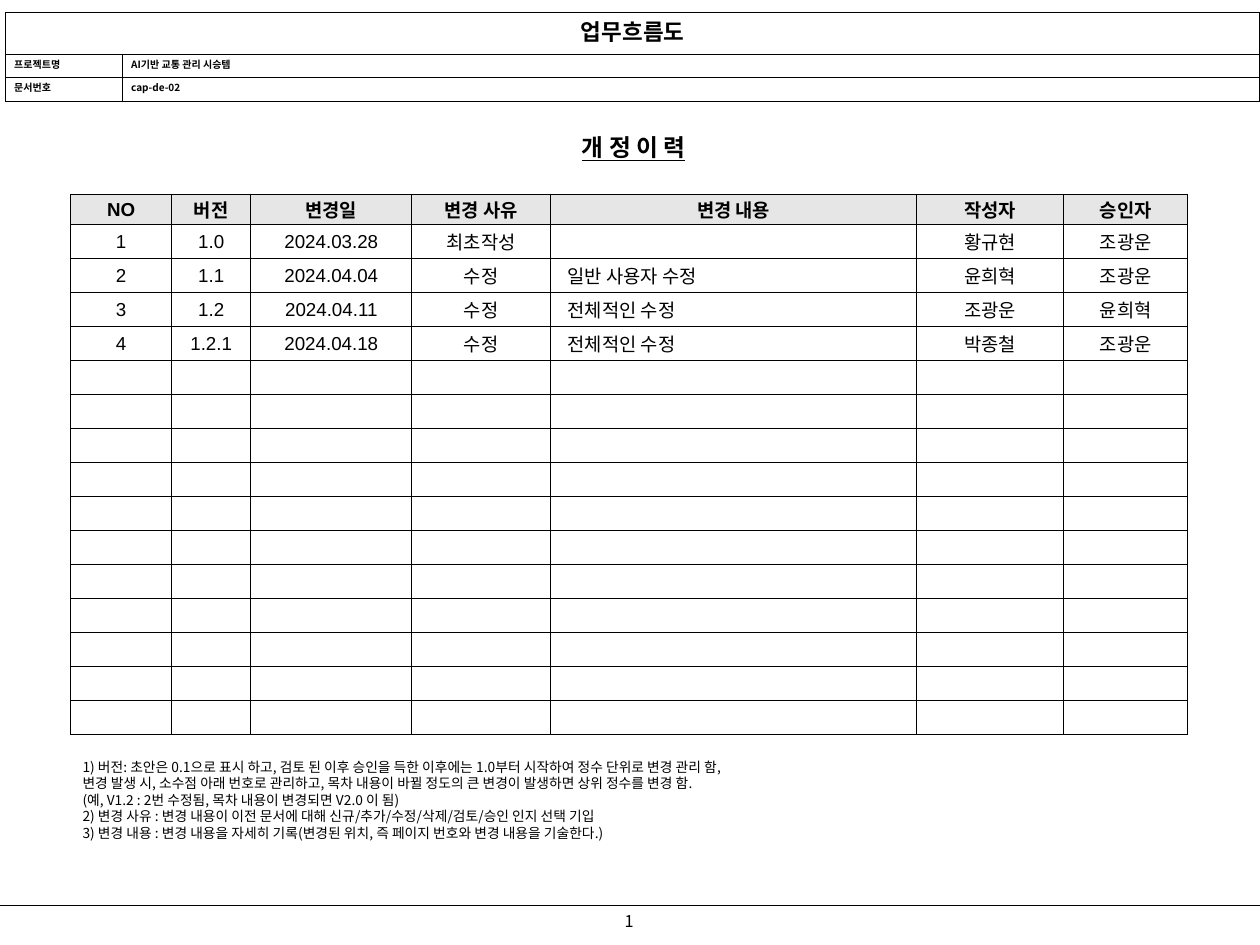
"""Build the revision history slide of a workflow document."""
from lxml.etree import SubElement
from pptx import Presentation
from pptx.dml.color import RGBColor as Rgb
from pptx.enum.shapes import MSO_CONNECTOR as Connector
from pptx.enum.text import MSO_ANCHOR as Anchor, PP_ALIGN as Align
from pptx.oxml.ns import qn
from pptx.util import Cm, Pt

COLORS = {"ink": "000000", "head": "E6E6E6", "paper": "FFFFFF"}
HANGUL, LATIN = "Noto Sans CJK KR", "Arial"
PAGE_WIDTH, PAGE_HEIGHT = 35.56, 26.67
FOOTER_TOP = 25.55

DOCUMENT = [
    ("업무흐름도", ""),
    ("프로젝트명", "AI기반 교통 관리 시승템"),
    ("문서번호", "cap-de-02"),
]
DOCUMENT_WIDTHS, DOCUMENT_HEIGHTS = [3.3, 32.11], [1.19, 0.66, 0.66]

HEADING = "개 정 이 력"
REVISIONS = [
    ("NO", "버전", "변경일", "변경 사유", "변경 내용", "작성자", "승인자"),
    ("1", "1.0", "2024.03.28", "최초작성", "", "황규현", "조광운"),
    ("2", "1.1", "2024.04.04", "수정", "일반 사용자 수정", "윤희혁", "조광운"),
    ("3", "1.2", "2024.04.11", "수정", "전체적인 수정", "조광운", "윤희혁"),
    ("4", "1.2.1", "2024.04.18", "수정", "전체적인 수정", "박종철", "조광운"),
]
REVISION_WIDTHS = [2.84, 2.24, 4.54, 3.92, 10.33, 4.15, 3.5]
BLANK_ROWS, DETAIL_COLUMN = 11, 4

NOTES = [
    "1) 버전: 초안은 0.1으로 표시 하고, 검토 된 이후 승인을 득한 이후에는 1.0부터 시작하여 정수 단위로 변경 관리 함,",
    "변경 발생 시, 소수점 아래 번호로 관리하고, 목차 내용이 바뀔 정도의 큰 변경이 발생하면 상위 정수를 변경 함.",
    "(예, V1.2 : 2번 수정됨, 목차 내용이 변경되면 V2.0 이 됨)",
    "2) 변경 사유 : 변경 내용이 이전 문서에 대해 신규/추가/수정/삭제/검토/승인 인지 선택 기입",
    "3) 변경 내용 : 변경 내용을 자세히 기록(변경된 위치, 즉 페이지 번호와 변경 내용을 기술한다.)",
]


def style(para, size, face=HANGUL, bold=False, align=Align.LEFT, underline=False):
    para.alignment = align
    font = para.font
    font.size, font.name, font.bold, font.underline = Pt(size), face, bold, underline
    font.color.rgb = Rgb.from_string(COLORS["ink"])
    latin = para._p.pPr.find(qn("a:defRPr")).find(qn("a:latin"))
    east_asian = latin.makeelement(qn("a:ea"), {"typeface": HANGUL})
    latin.addnext(east_asian)


def add_text(slide, area, lines, size, anchor=Anchor.TOP, **look):
    frame = slide.shapes.add_textbox(*map(Cm, area)).text_frame
    frame.word_wrap, frame.vertical_anchor = True, anchor
    frame.margin_left = frame.margin_right = Cm(0.33)
    frame.margin_top = frame.margin_bottom = Cm(0.18)
    frame.text = "\n".join(lines)
    for para in frame.paragraphs:
        style(para, size, **look)
        para.line_spacing = Pt(size * 1.2)


def add_grid(slide, left, top, widths, heights):
    area = map(Cm, (left, top, sum(widths), sum(heights)))
    table = slide.shapes.add_table(len(heights), len(widths), *area).table
    table.first_row = table.horz_banding = False
    for column, width in zip(table.columns, widths):
        column.width = Cm(width)
    for row, height in zip(table.rows, heights):
        row.height = Cm(height)
    return table


def fill_cell(cell, text, margins, anchor, fill, **look):
    properties = cell._tc.get_or_add_tcPr()
    for side in ("lnL", "lnR", "lnT", "lnB"):
        border = SubElement(properties, qn(f"a:{side}"), w=str(Pt(1)))
        paint = SubElement(border, qn("a:solidFill"))
        SubElement(paint, qn("a:srgbClr"), val=COLORS["ink"])
    cell.margin_left, cell.margin_top, cell.margin_right, cell.margin_bottom = map(Cm, margins)
    cell.vertical_anchor = anchor
    cell.fill.solid()
    cell.fill.fore_color.rgb = Rgb.from_string(COLORS[fill])
    cell.text = text
    style(cell.text_frame.paragraphs[0], **look)


def add_document_table(slide):
    table = add_grid(slide, 0.15, 0.35, DOCUMENT_WIDTHS, DOCUMENT_HEIGHTS)
    table.cell(0, 0).merge(table.cell(0, 1))
    for r, row in enumerate(DOCUMENT):
        for c, text in enumerate(row):
            fill_cell(table.cell(r, c), text, (0.25, 0.05, 0.25, 0.05), Anchor.TOP, "paper",
                      size=8 if r else 18, bold=True, align=Align.LEFT if r else Align.CENTER)


def add_revision_table(slide):
    rows = REVISIONS + [("",) * len(REVISION_WIDTHS)] * BLANK_ROWS
    heights = [0.85] + [0.96] * (len(rows) - 1)
    table = add_grid(slide, 2, 5.49, REVISION_WIDTHS, heights)
    for r, row in enumerate(rows):
        for c, text in enumerate(row):
            detail = r > 0 and c == DETAIL_COLUMN
            fill_cell(table.cell(r, c), text, (0.48 if detail else 0.23, 0, 0.23, 0), Anchor.MIDDLE,
                      "paper" if r else "head", size=15, face=LATIN, bold=r == 0,
                      align=Align.LEFT if detail else Align.CENTER)


def add_footer(slide):
    add_text(slide, (17.07, FOOTER_TOP, 1.37, 0.89), ["1"], 13, align=Align.CENTER)
    rule = slide.shapes.add_connector(Connector.STRAIGHT, 0, Cm(FOOTER_TOP), Cm(PAGE_WIDTH), Cm(FOOTER_TOP))
    rule.line.color.rgb = Rgb.from_string(COLORS["ink"])
    rule.line.width = Pt(1)
    SubElement(rule._element.spPr, qn("a:effectLst"))


def main():
    deck = Presentation()
    deck.slide_width, deck.slide_height = Cm(PAGE_WIDTH), Cm(PAGE_HEIGHT)
    slide = deck.slides.add_slide(deck.slide_layouts[6])
    add_footer(slide)
    add_text(slide, (14.78, 3.56, 6.2, 1.19), [HEADING], 19, Anchor.MIDDLE,
             bold=True, align=Align.CENTER, underline=True)
    add_revision_table(slide)
    add_text(slide, (2, 21.23, 31.55, 2.69), NOTES, 11)
    add_document_table(slide)
    deck.save("out.pptx")


if __name__ == "__main__":
    main()
